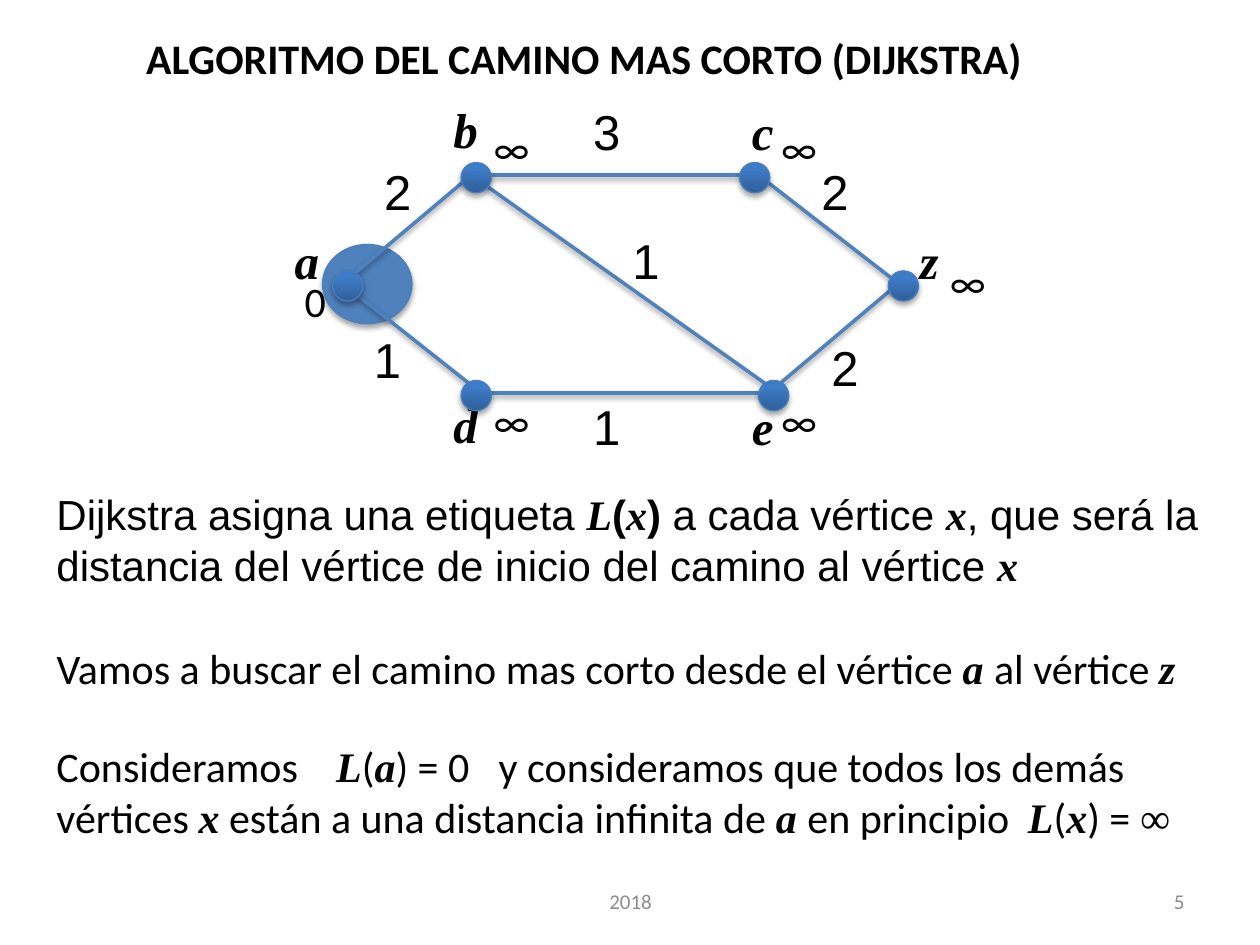
import copy
import pptx
import pptx.util
from lxml import etree
from pptx.dml.color import RGBColor
from pptx.enum.shapes import MSO_CONNECTOR, MSO_SHAPE
from pptx.enum.text import MSO_ANCHOR, MSO_AUTO_SIZE, PP_ALIGN
from pptx.oxml.ns import qn

BLACK = RGBColor(0x00, 0x00, 0x00)
GREY = RGBColor(0x8C, 0x8C, 0x8C)
BLUE = RGBColor(0x4F, 0x81, 0xBD)
OUTLINE = RGBColor(0x4B, 0x7E, 0xBC)
NODE_STOPS = [(0, RGBColor(0x2F, 0x5F, 0x99)), (0.8, RGBColor(0x3D, 0x7C, 0xC7)),
              (1, RGBColor(0x3A, 0x7C, 0xCB))]
SANS, BODY, SERIF = "Arial", "Calibri", "Times New Roman"

# The slide is a grid of 100 columns by 75 rows; boxes are left, top, width, height.
COLUMNS, ROWS = 100, 75
GRAPH_BOX = (22, 7, 60, 30)
NODE_SIZE = 2.4
LABEL_SIZE = (6.3, 5.7)
VALUE_SIZE = (7.1, 5)

# Places inside the graph box
NODES = {"a": (4.4, 14.5), "b": (14.6, 5.9), "d": (14.6, 23.2),
         "c": (36.7, 5.9), "e": (38.2, 23.2), "z": (48.5, 14.5)}
JOINTS = {"a": (5.2, 15.5), "b": (15.4, 6.9), "c": (38.2, 6.9), "d": (16.2, 24.2),
          "e": (39, 24.2), "e right": (39.8, 24.2), "z": (49.3, 15.5)}
EDGES = [("b", "c"), ("d", "e"), ("b", "a"), ("z", "e"), ("d", "a"), ("z", "c"),
         ("b", "e right")]
NAMES = [("a", 0.4, 10.8), ("b", 13, 0.4), ("c", 36.7, 0.6),
         ("d", 13, 23.8), ("e", 36.7, 24), ("z", 50, 10.8)]
WEIGHTS = [("2", 7.5, 5.3), ("3", 24.1, 0.6), ("1", 24.1, 24), ("1", 27.2, 10.8),
           ("1", 6.7, 18.7), ("2", 42.2, 5.3), ("2", 43, 19.3)]
VALUES = [("0", 1.2, 14.4), ("∞", 16.2, 2.2), ("∞", 16.2, 23.9),
          ("∞", 39, 2.2), ("∞", 39, 23.9), ("∞", 52.4, 12.9)]


def grid(*lengths):
    return [pptx.util.Inches(length / 10) for length in lengths]


def style(span, font, size, color=BLACK, bold=False, italic=False):
    span.font.name = font
    span.font.size = pptx.util.Pt(size)
    span.font.color.rgb = color
    span.font.bold = bold
    span.font.italic = italic


def cast_shadow(shape, opacity, distance):
    """Give a shape or connector a soft shadow straight below it."""
    properties = shape._element.spPr
    for old in properties.findall(qn("a:effectLst")):
        properties.remove(old)
    effects = etree.SubElement(properties, qn("a:effectLst"))
    shadow = etree.SubElement(effects, qn("a:outerShdw"), blurRad="40000",
                              dist=str(distance), dir="5400000", rotWithShape="0")
    color = etree.SubElement(shadow, qn("a:srgbClr"), val="000000")
    etree.SubElement(color, qn("a:alpha"), val=str(opacity * 1000))


def add_text(page, box, text, font, size, color=BLACK, align=PP_ALIGN.LEFT,
             anchor=MSO_ANCHOR.TOP, bold=False, italic=False):
    frame = page.shapes.add_textbox(*grid(*box)).text_frame
    frame.word_wrap = True
    frame.vertical_anchor = anchor
    para = frame.paragraphs[0]
    para.text = text
    para.alignment = align
    style(para.runs[0], font, size, color, bold, italic)


def add_statement(page, box, text, font, bold_parts=(), tabs=()):
    """Write a sentence in which the parts between bars are variables."""
    frame = page.shapes.add_textbox(*grid(*box)).text_frame
    frame.word_wrap = True
    para = frame.paragraphs[0]
    if tabs:
        tab_list = etree.SubElement(para._p.get_or_add_pPr(), qn("a:tabLst"))
        for stop in grid(*tabs):
            etree.SubElement(tab_list, qn("a:tab"), pos=str(stop), algn="l")
    for index, part in enumerate(text.split("|")):
        if not part:
            continue
        variable = index % 2 == 1
        span = para.add_run()
        span.text = part
        style(span, SERIF if variable else font, 24,
              bold=variable or part in bold_parts, italic=variable)


def add_ellipse(page, box, stops=None):
    shape = page.shapes.add_shape(MSO_SHAPE.OVAL, *grid(*box))
    if stops:
        shape.fill.gradient()
        shape.fill.gradient_angle = 90
        stop_list = shape._element.spPr.find(".//" + qn("a:gsLst"))
        stop_list.append(copy.deepcopy(stop_list[0]))
        for stop, (position, color) in zip(shape.fill.gradient_stops, stops):
            stop.position = position
            stop.color.rgb = color
    else:
        shape.fill.solid()
        shape.fill.fore_color.rgb = BLUE
    shape.line.color.rgb = OUTLINE
    shape.line.width = pptx.util.Pt(0.75)
    cast_shadow(shape, 35, 23000)


def add_edge(page, start, end):
    edge = page.shapes.add_connector(MSO_CONNECTOR.STRAIGHT, *grid(*start, *end))
    edge.line.color.rgb = BLUE
    edge.line.width = pptx.util.Pt(2)
    cast_shadow(edge, 38, 20000)


def add_graph(page, box):
    left, top = box[:2]

    def place(x, y):
        return left + x, top + y

    add_ellipse(page, (*place(3.6, 12.4), 7.1, 6.3))
    for start, end in EDGES:
        add_edge(page, place(*JOINTS[start]), place(*JOINTS[end]))
    for name, x, y in NAMES:
        add_text(page, (*place(x, y), *LABEL_SIZE), name, SERIF, 28, bold=True, italic=True)
    for weight, x, y in WEIGHTS:
        add_text(page, (*place(x, y), *LABEL_SIZE), weight, SANS, 28)
    for corner in NODES.values():
        add_ellipse(page, (*place(*corner), NODE_SIZE, NODE_SIZE), NODE_STOPS)
    for value, x, y in VALUES:
        add_text(page, (*place(x, y), *VALUE_SIZE), value, BODY, 24)


def add_title(page, box, text):
    title = page.shapes.title
    title.left, title.top, title.width, title.height = grid(*box)
    frame = title.text_frame
    frame.text = text
    frame.auto_size = MSO_AUTO_SIZE.NONE
    frame.vertical_anchor = MSO_ANCHOR.TOP
    para = frame.paragraphs[0]
    para.alignment = PP_ALIGN.LEFT
    style(para.runs[0], BODY, 24, bold=True)


def add_explanation(page, left):
    add_statement(page, (left, 38.3, 93.7, 9.1),
                  "Dijkstra asigna una etiqueta |L|(|x|)|| a cada vértice |x|, que será la "
                  "distancia del vértice de inicio del camino al vértice |x", SANS,
                  bold_parts=("(", ")"))
    add_statement(page, (left, 50.5, 92.1, 5),
                  "Vamos a buscar el camino mas corto desde el vértice |a |al vértice |z", BODY)
    add_statement(page, (left, 58.3, 91.3, 9.1),
                  "Consideramos\t|L|(|a|) = 0\ty consideramos que todos los demás vértices |x| "
                  "están a una distancia infinita de |a |en principio\t|L|(|x|) = |∞", BODY,
                  tabs=(22.2, 35.1, 77.1))


def add_footer(page, top, height):
    add_text(page, (34.2, top, 31.7, height), "2018", BODY, 12, GREY,
             PP_ALIGN.CENTER, MSO_ANCHOR.MIDDLE)
    add_text(page, (71.7, top, 23.3, height), "5", BODY, 12, GREY,
             PP_ALIGN.RIGHT, MSO_ANCHOR.MIDDLE)


def main():
    deck = pptx.Presentation()
    deck.slide_width, deck.slide_height = grid(COLUMNS, ROWS)
    page = deck.slides.add_slide(deck.slide_layouts[5])
    add_title(page, (10.6, 2.1, 77.2, 5), "ALGORITMO DEL CAMINO MAS CORTO (DIJKSTRA)")
    add_explanation(page, 3.5)
    add_footer(page, 69.5, 4)
    add_graph(page, GRAPH_BOX)
    deck.save("out.pptx")


if __name__ == "__main__":
    main()
